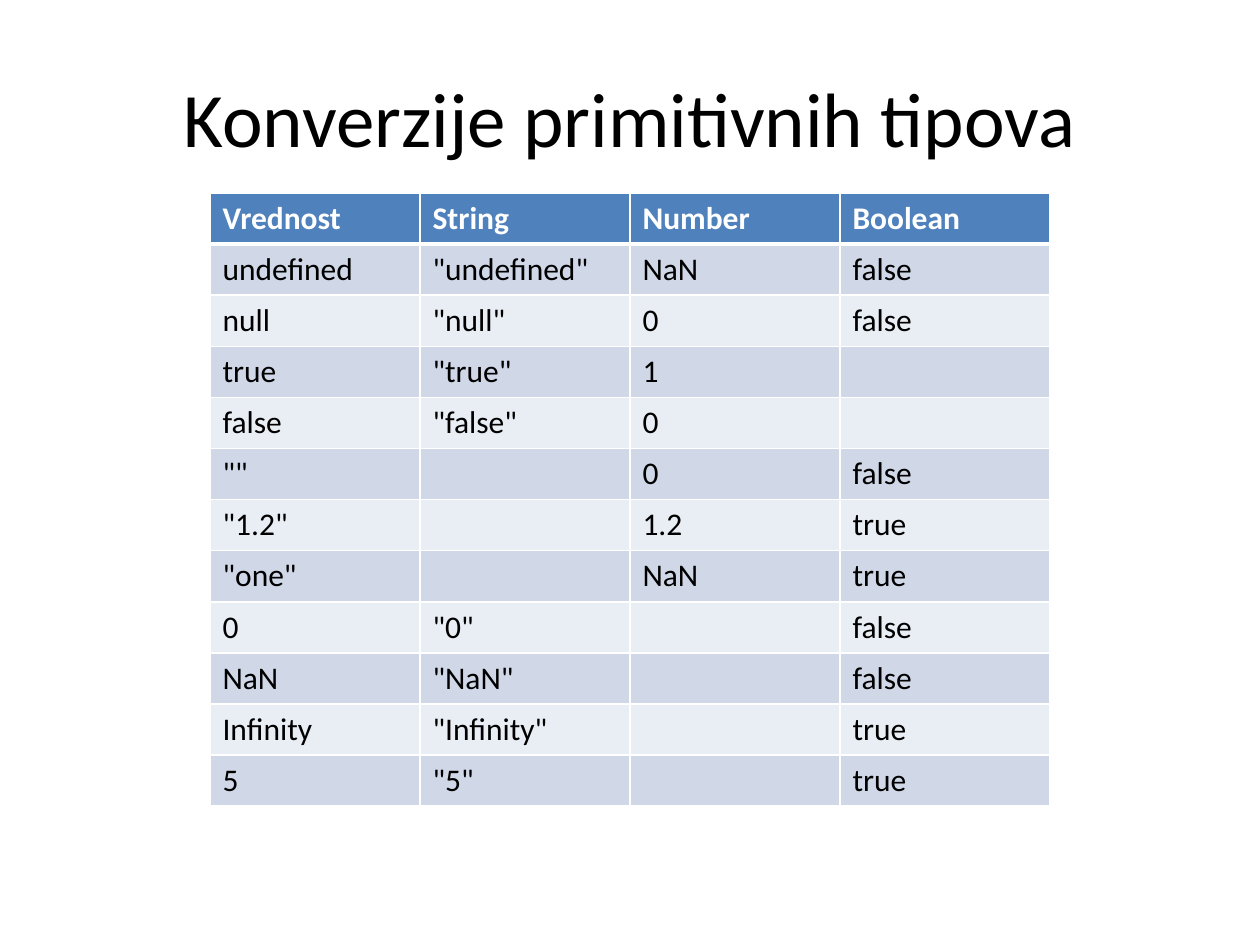
"""Build a slide with a table of primitive type conversions."""
from lxml import etree
from pptx import Presentation
from pptx import util as u
from pptx.dml.color import RGBColor
from pptx.enum import text
from pptx.oxml import ns

TITLE = "Konverzije primitivnih tipova"
ROWS = [
    ("Vrednost", "String", "Number", "Boolean"),
    ("undefined", '"undefined"', "NaN", "false"),
    ("null", '"null"', "0", "false"),
    ("true", '"true"', "1", ""),
    ("false", '"false"', "0", ""),
    ('""', "", "0", "false"),
    ('"1.2"', "", "1.2", "true"),
    ('"one"', "", "NaN", "true"),
    ("0", '"0"', "", "false"),
    ("NaN", '"NaN"', "", "false"),
    ("Infinity", '"Infinity"', "", "true"),
    ("5", '"5"', "", "true"),
]
HEADER_FILL, BAND_FILLS = "4F81BD", ("E9EDF4", "D0D8E8")
WHITE, BLACK = "FFFFFF", "000000"
TITLE_BOX = (63, 38, 1134, 158)
TABLE_LEFT, TABLE_TOP, COLUMN_WIDTH, ROW_HEIGHT = 210, 193, 210, 51


def px(length):
    return u.Emu(round(length * 914400 / 126))


def color(value):
    return RGBColor.from_string(value)


def style_text(frame, size, value, bold=False):
    for paragraph in frame.paragraphs:
        font = paragraph.font
        for run in paragraph.runs:
            font = run.font
        font.name, font.size, font.bold = "Calibri", u.Pt(size), bold
        font.color.rgb = color(value)


def add_borders(cell, widths):
    properties = cell._tc.get_or_add_tcPr()
    for side, width in widths.items():
        line = etree.SubElement(properties, ns.qn(f"a:ln{side}"), w=str(u.Pt(width)))
        fill = etree.SubElement(line, ns.qn("a:solidFill"))
        etree.SubElement(fill, ns.qn("a:srgbClr"), val=WHITE)


def add_title(slide):
    title = slide.shapes.title
    title.left, title.top, title.width, title.height = map(px, TITLE_BOX)
    frame = title.text_frame
    frame.text = TITLE
    frame.vertical_anchor = text.MSO_ANCHOR.MIDDLE
    frame.paragraphs[0].alignment = text.PP_ALIGN.CENTER
    style_text(frame, 44, BLACK)


def add_conversions(slide):
    columns = len(ROWS[0])
    table = slide.shapes.add_table(
        len(ROWS), columns, px(TABLE_LEFT), px(TABLE_TOP),
        px(COLUMN_WIDTH * columns), px(ROW_HEIGHT * len(ROWS))).table
    for row, values in enumerate(ROWS):
        header = row == 0
        widths = {"L": 1, "R": 1, "T": 3 if row == 1 else 1, "B": 3 if header else 1}
        for column, value in enumerate(values):
            cell = table.cell(row, column)
            cell.text_frame.text = value
            style_text(cell.text_frame, 18, WHITE if header else BLACK, header)
            add_borders(cell, widths)
            cell.fill.solid()
            cell.fill.fore_color.rgb = color(HEADER_FILL if header else BAND_FILLS[row % 2])


def main():
    presentation = Presentation()
    presentation.slide_width, presentation.slide_height = px(1260), px(945)
    slide = presentation.slides.add_slide(presentation.slide_layouts[5])
    add_title(slide)
    add_conversions(slide)
    presentation.save("out.pptx")


if __name__ == "__main__":
    main()
